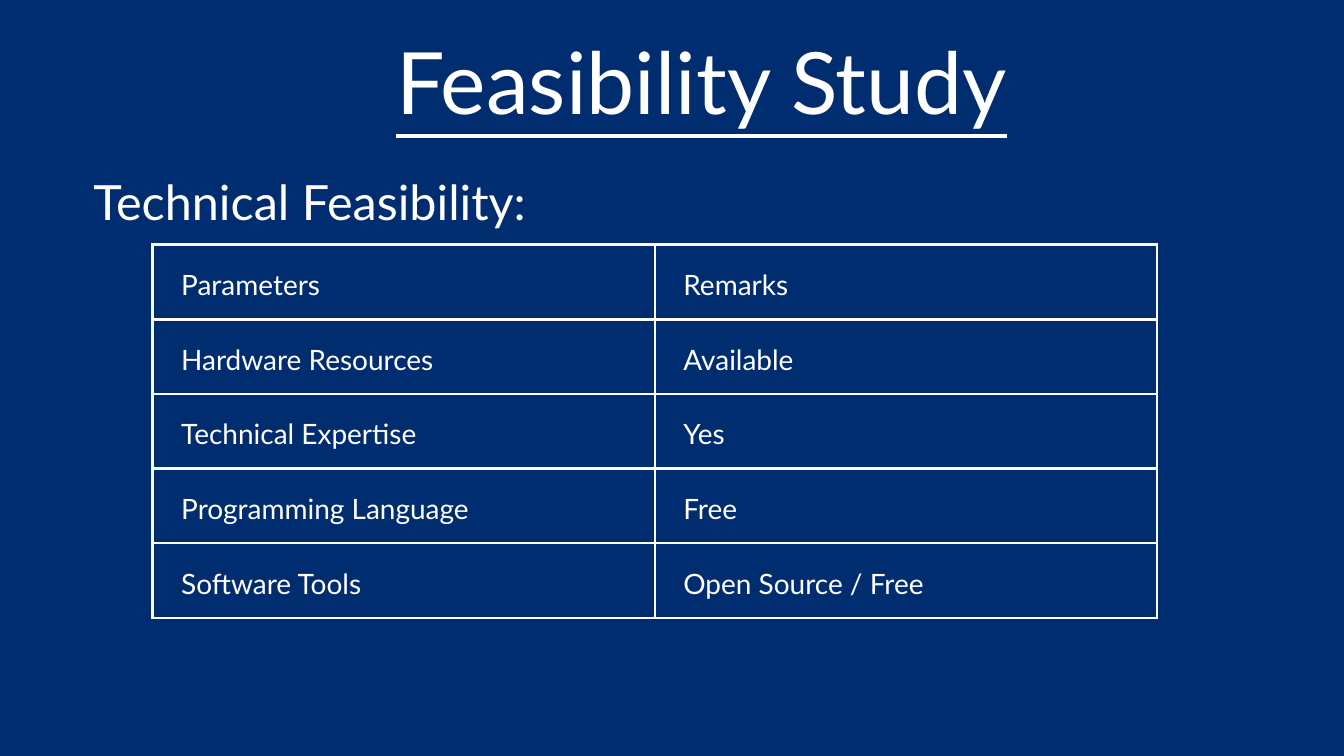
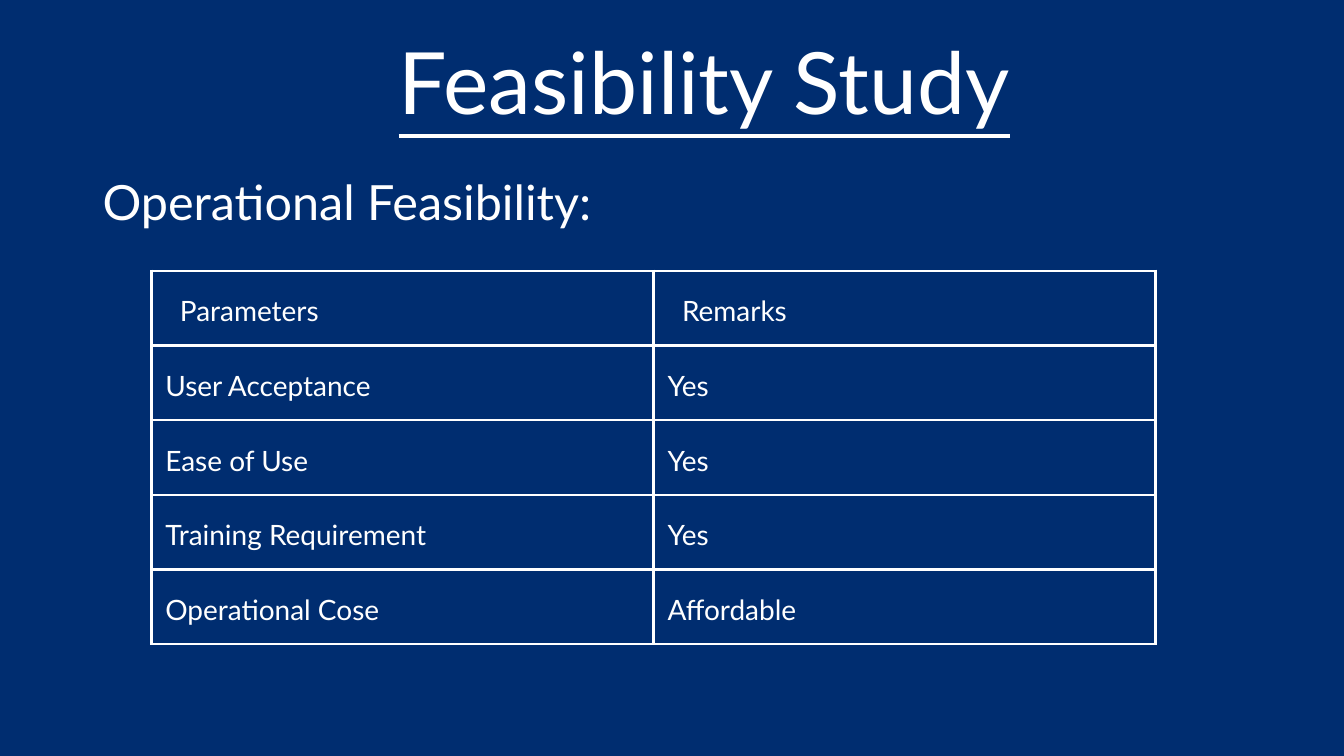
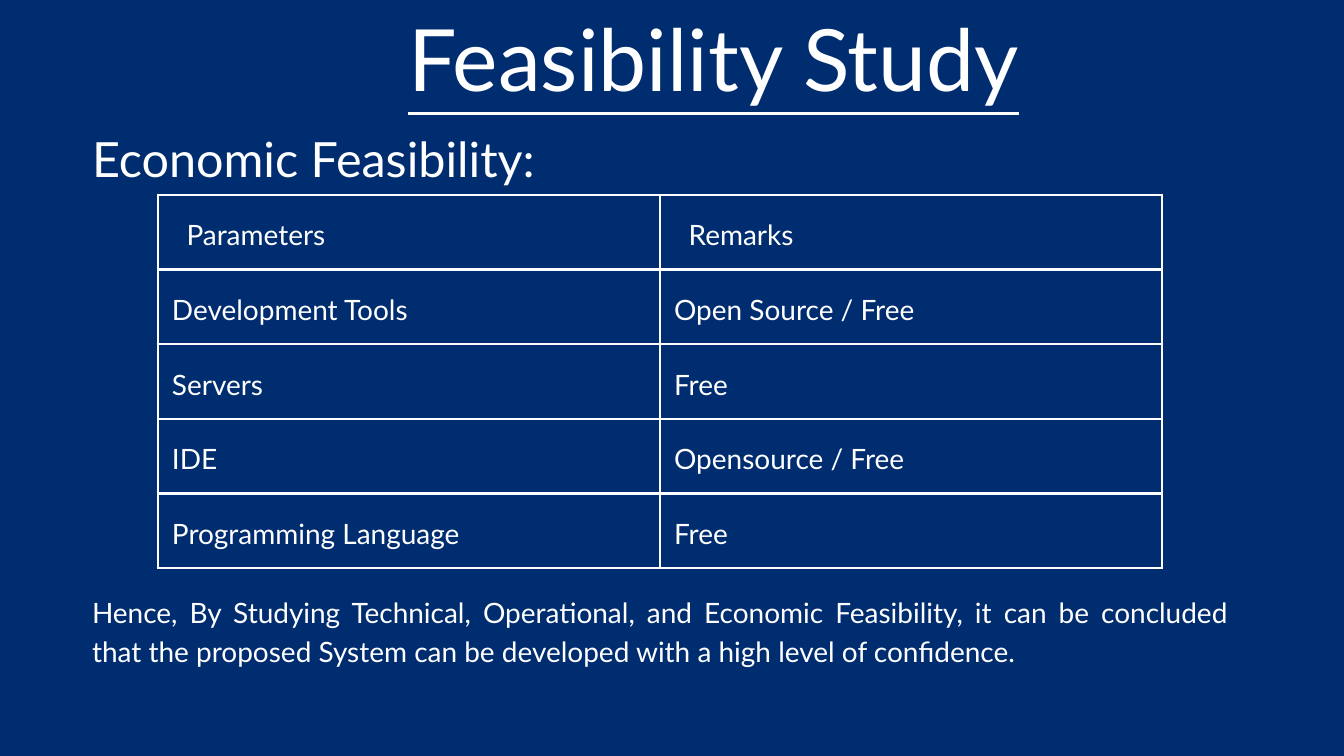
from dataclasses import dataclass

from lxml import etree
from pptx import Presentation
from pptx import util as u
from pptx.dml.color import RGBColor
from pptx.enum import text
from pptx.oxml import ns

HEAD = ("Parameters", "Remarks")

# Places are in centimetres: title (left, top, width), others (left, top).
# "inset" is the left margin of the body cells.
PAGES = [
    dict(
        title=(12.6, 0.43, 27.84),
        topic="Technical Feasibility:", topic_at=(3.53, 6.15),
        grid_at=(5.77, 9.25), inset=1.08,
        rows=[
            ("Hardware Resources", "Available"),
            ("Technical Expertise", "Yes"),
            ("Programming Language", "Free"),
            ("Software Tools", "Open Source / Free"),
        ],
    ),
    dict(
        title=(12.6, 0.43, 28.04),
        topic="Operational Feasibility:", topic_at=(3.88, 6.15),
        grid_at=(5.72, 10.24), inset=0.53,
        rows=[
            ("User Acceptance", "Yes"),
            ("Ease of Use", "Yes"),
            ("Training Requirement", "Yes"),
            ("Operational Cose", "Affordable"),
        ],
    ),
    dict(
        title=(13.13, -0.43, 27.69),
        topic="Economic Feasibility:", topic_at=(3.48, 4.5),
        grid_at=(5.97, 7.37), inset=0.53,
        rows=[
            ("Development Tools", "Open Source / Free"),
            ("Servers", "Free"),
            ("IDE", "Opensource / Free"),
            ("Programming Language", "Free"),
        ],
        note="Hence, By Studying Technical, Operational, and Economic "
             "Feasibility, it can be concluded that the proposed System can "
             "be developed with a high level of confidence.",
        note_at=(3.48, 22.3),
    ),
]


@dataclass(frozen=True)
class Theme:
    back: str = "002D70"
    ink: str = "FFFFFF"
    font: str = "Lato"
    title: int = 92
    topic: int = 52
    body: int = 30
    lead: float = 1.4
    rule: int = 3
    pad: float = 0.53
    indent: float = 1.08
    col: float = 18.98
    row: float = 2.82


LOOK = Theme()


def write(frame, words, size=LOOK.body, align=None, line=False):
    para = frame.paragraphs[0]
    para.alignment = align
    para.line_spacing = u.Pt(round(size * LOOK.lead, 1))
    run = para.add_run()
    run.text = words
    font = run.font
    font.name, font.size = LOOK.font, u.Pt(size)
    font.bold, font.underline = False, line
    font.color.rgb = RGBColor.from_string(LOOK.ink)


def label(slide, words, left, top, width, height, **style):
    box = slide.shapes.add_textbox(*map(u.Cm, (left, top, width, height)))
    frame = box.text_frame
    frame.word_wrap = True
    frame.margin_left = frame.margin_right = 0
    frame.margin_top = frame.margin_bottom = 0
    write(frame, words, **style)


def edge(cell):
    """Rule all four sides of a cell."""
    props = cell._tc.get_or_add_tcPr()
    for side in ("lnL", "lnR", "lnT", "lnB"):
        line = etree.SubElement(props, ns.qn(f"a:{side}"), w=str(u.Pt(LOOK.rule)))
        fill = etree.SubElement(line, ns.qn("a:solidFill"))
        etree.SubElement(fill, ns.qn("a:srgbClr"), val=LOOK.ink)


def grid(slide, rows, left, top, inset):
    rows = [HEAD, *rows]
    count, wide = len(rows), len(HEAD)
    size = (left, top, LOOK.col * wide, LOOK.row * count)
    table = slide.shapes.add_table(count, wide, *map(u.Cm, size)).table
    table.first_row = table.horz_banding = False
    for col in table.columns:
        col.width = u.Cm(LOOK.col)
    for i, row in enumerate(rows):
        table.rows[i].height = u.Cm(LOOK.row)
        for j, words in enumerate(row):
            cell = table.cell(i, j)
            edge(cell)
            cell.fill.background()
            cell.vertical_anchor = text.MSO_ANCHOR.MIDDLE
            cell.margin_left = u.Cm(inset if i else LOOK.indent)
            cell.margin_right = u.Cm(LOOK.pad)
            cell.margin_top = cell.margin_bottom = u.Cm(LOOK.pad)
            write(cell.text_frame, words)


def build(deck, page):
    slide = deck.slides.add_slide(deck.slide_layouts[6])
    fill = slide.background.fill
    fill.solid()
    fill.fore_color.rgb = RGBColor.from_string(LOOK.back)
    grid(slide, page["rows"], *page["grid_at"], page["inset"])
    label(slide, "Feasibility Study", *page["title"], 4.55,
          size=LOOK.title, align=text.PP_ALIGN.CENTER, line=True)
    label(slide, page["topic"], *page["topic_at"], 26.49, 2.57, size=LOOK.topic)
    if "note" in page:
        label(slide, page["note"], *page["note_at"], 42.95, 2.97,
              align=text.PP_ALIGN.JUSTIFY)


def main():
    deck = Presentation()
    deck.slide_width = u.Cm(50.8)
    deck.slide_height = deck.slide_width * 9 // 16
    for page in PAGES:
        build(deck, page)
    deck.save("out.pptx")


if __name__ == "__main__":
    main()
